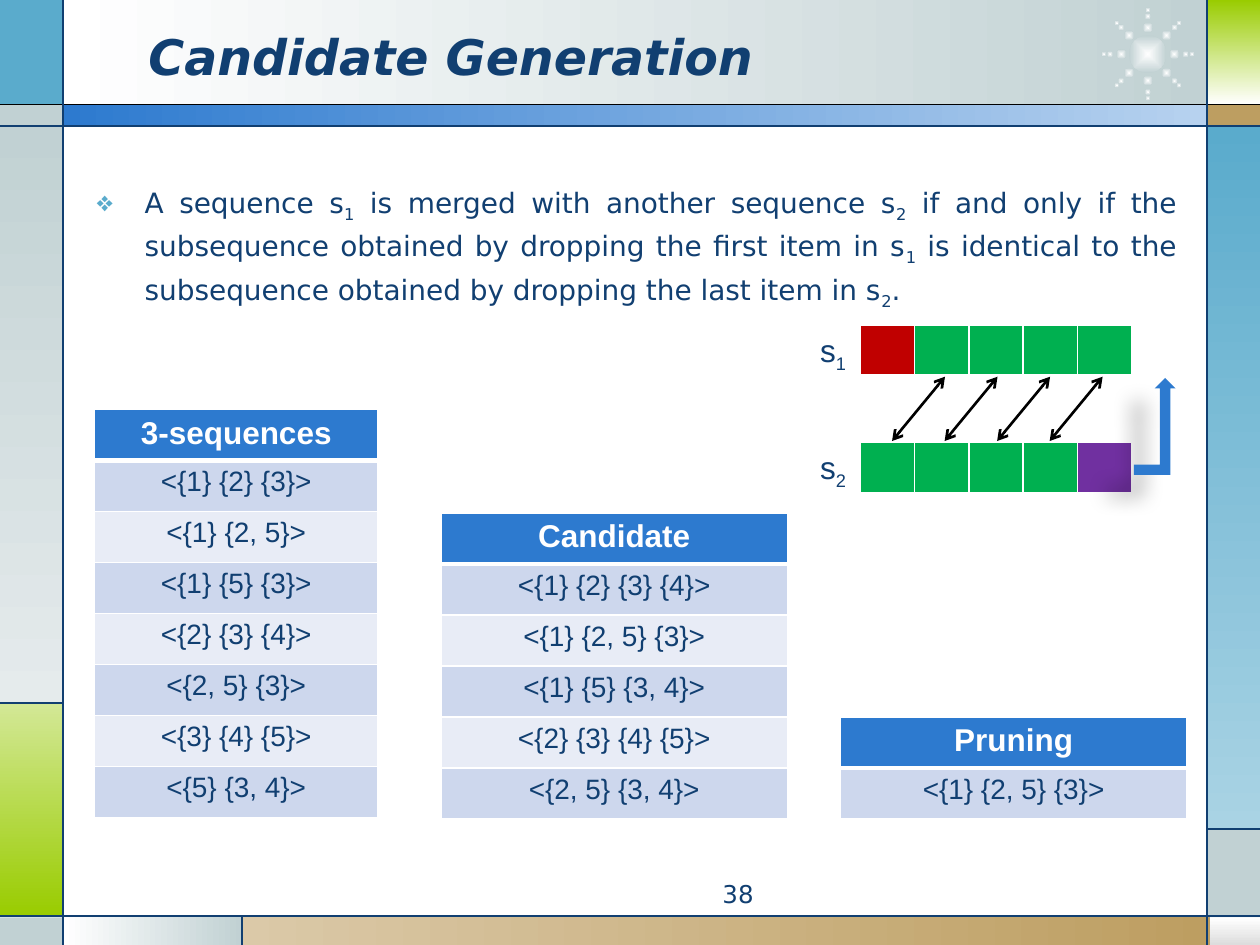
from dataclasses import dataclass
from math import cos, sin, radians
from lxml.etree import SubElement as Sub
from pptx import Presentation
from pptx.dml.color import RGBColor as RGB
from pptx.enum.shapes import MSO_CONNECTOR as Conn, MSO_SHAPE as Geo
from pptx.enum.text import MSO_ANCHOR as Anchor, PP_ALIGN as Align
from pptx.oxml import parse_xml
from pptx.oxml.ns import nsdecls, qn
from pptx.util import Inches, Pt


@dataclass(frozen=True)
class Theme:
    navy: str = "113F71"
    blue: str = "2D7ACF"
    sky: str = "5AABCC"
    gray: str = "C1D1D3"
    tan: str = "BD9E61"
    lime: str = "99CC00"
    white: str = "FFFFFF"
    black: str = "000000"
    bands: tuple = ("CDD7ED", "E8ECF6")
    red: str = "C00000"
    green: str = "00B050"
    plum: str = "7030A0"
    sans: str = "DejaVu Sans"
    arial: str = "Arial"
    title: int = 28
    head: int = 18
    body: int = 16
    small: int = 14


T = Theme()


def box(*nums):
    return [Inches(n) for n in nums]


def write(frame, text, size=T.body, font=T.sans, color=T.navy, bold=False,
          italic=False, align=Align.LEFT, space=None, bullet=None,
          anchor=None, wrap=True):
    """Write text; parts between underscores become subscripts."""
    frame.word_wrap = wrap
    if anchor is not None:
        frame.vertical_anchor = anchor
    para = frame.paragraphs[0]
    para.alignment = align
    if bullet:
        props = para._p.get_or_add_pPr()
        props.set("marL", str(Inches(0.38)))
        props.set("indent", str(-Inches(0.38)))
        tint = Sub(props, qn("a:buClr"))
        Sub(tint, qn("a:srgbClr"), val=T.sky)
        Sub(props, qn("a:buChar"), char=bullet)
    if space:
        para.line_spacing = space
    for i, part in enumerate(text.split("_")):
        if not part:
            continue
        run = para.add_run()
        run.text = part
        face = run.font
        face.size, face.name = Pt(size), font
        face.bold, face.italic = bold, italic
        face.color.rgb = RGB.from_string(color)
        if i % 2:
            run._r.get_or_add_rPr().set("baseline", "-25000")


def label(slide, place, text, **form):
    write(slide.shapes.add_textbox(*box(*place)).text_frame, text, **form)


def shape(slide, place, fill, geo=Geo.RECTANGLE, angle=None):
    """Fill is one colour or a pair; a pair without an angle is radial."""
    item = slide.shapes.add_shape(geo, *box(*place))
    item.shadow.inherit = False
    item.line.fill.background()
    if isinstance(fill, str):
        item.fill.solid()
        item.fill.fore_color.rgb = RGB.from_string(fill)
        return item
    item.fill.gradient()
    for stop, color, pos in zip(item.fill.gradient_stops, fill, (0, 1)):
        stop.color.rgb = RGB.from_string(color)
        stop.position = pos
    if angle is not None:
        item.fill.gradient_angle = (360 - angle) % 360
    else:
        lin = item._element.spPr.find(".//" + qn("a:lin"))
        lin.getparent().replace(lin, parse_xml(
            f'<a:path {nsdecls("a")} path="shape"><a:fillToRect '
            'l="50000" t="50000" r="50000" b="50000"/></a:path>'))
    return item


def line(slide, ends, color=T.navy, width=0.75, arrows=False):
    item = slide.shapes.add_connector(Conn.STRAIGHT, *box(*ends))
    item.line.color.rgb = RGB.from_string(color)
    item.line.width = Pt(width)
    if arrows:
        for tag in ("a:headEnd", "a:tailEnd"):
            Sub(item.line._get_or_add_ln(), qn(tag), type="arrow")
    Sub(item._element.spPr, qn("a:effectLst"))


def paint(cell, fill, base=1):
    """Fill a cell and give it white borders; base is the bottom width."""
    cell.fill.solid()
    cell.fill.fore_color.rgb = RGB.from_string(fill)
    props = cell._tc.get_or_add_tcPr()
    for i, side in enumerate("LRTB"):
        width = Pt(base if side == "B" else 1)
        props.insert(i, parse_xml(
            f'<a:ln{side} {nsdecls("a")} w="{width}"><a:solidFill>'
            f'<a:srgbClr val="{T.white}"/></a:solidFill></a:ln{side}>'))


def table(slide, left, top, width, rows):
    high = 0.405 * len(rows)
    grid = slide.shapes.add_table(
        len(rows), 1, *box(left, top, width, high)).table
    for i, text in enumerate(rows):
        cell = grid.cell(i, 0)
        if i == 0:
            paint(cell, T.blue, base=3)
            form = dict(size=T.head, color=T.white, bold=True)
        else:
            paint(cell, T.bands[(i - 1) % 2])
            form = {}
        write(cell.text_frame, text, font=T.arial, align=Align.CENTER, **form)


def strip(slide, top, colors, name):
    wide = 0.43 * len(colors)
    grid = slide.shapes.add_table(
        1, len(colors), *box(6.83, top, wide, 0.41)).table
    for i, color in enumerate(colors):
        paint(grid.cell(0, i), color, base=3)
    label(slide, (6.41, top, 0.42, 0.4), name, size=T.head, font=T.arial,
          wrap=False)


def sun(slide, x, y):
    def dot(cx, cy, size):
        shape(slide, (cx - size / 2, cy - size / 2, size, size),
              (T.white, T.gray), Geo.OVAL)

    dot(x, y, 0.3)
    for turn in range(0, 360, 45):
        for far, size in ((0.21, 0.08), (0.3, 0.05), (0.35, 0.04)):
            dot(x + far * cos(radians(turn)), y + far * sin(radians(turn)),
                size)


def frame(slide):
    # Tiles around the page
    for place, fill, angle in (
            ((0.5, 0, 9.09, 0.84), (T.white, T.gray), 0),
            ((0, 0, 0.5, 0.84), T.sky, None),
            ((0, 0.83, 0.5, 0.17), T.gray, None),
            ((0, 1, 0.5, 4.58), (T.gray, "E5EBEC"), 90),
            ((0, 5.58, 0.5, 1.69), ("D3E896", T.lime), 90),
            ((0, 7.28, 0.5, 0.22), T.gray, None),
            ((0.5, 7.27, 1.42, 0.23), (T.white, T.gray), 0),
            ((1.92, 7.27, 7.68, 0.23), ("DBC9A8", T.tan), 0),
            ((9.6, 7.28, 0.4, 0.22), (T.white, "DDDDDD"), 90),
            ((9.58, 6.58, 0.42, 0.7), T.gray, None),
            ((9.58, 1, 0.42, 5.58), (T.sky, "A9D3E4"), 90),
            ((9.58, 0.83, 0.42, 0.17), T.tan, None),
            ((9.58, 0, 0.42, 0.83), (T.lime, T.white), 90),
            ((0.5, 0.83, 9.08, 0.17), (T.blue, "B7D2EF"), 0)):
        shape(slide, place, fill, angle=angle)
    sun(slide, 9.11, 0.43)
    # Rules between the tiles
    line(slide, (0, 0.83, 10, 0.83), T.black)
    for ends in ((0, 1, 10, 1), (0, 7.27, 10, 7.27), (0.5, 0, 0.5, 7.5),
                 (9.58, 0, 9.58, 7.5), (0, 5.58, 0.5, 5.58),
                 (1.92, 7.27, 1.92, 7.5), (9.58, 6.58, 10, 6.58)):
        line(slide, ends)


def merge(slide):
    # Two sequences and the links between their items
    strip(slide, 2.58, [T.red] + [T.green] * 4, "s_1_")
    strip(slide, 3.51, [T.green] * 4 + [T.plum], "s_2_")
    bent = shape(slide, (9, 3, 0.33, 0.77), T.blue, Geo.BENT_UP_ARROW)
    glow = bent._element.spPr.find(qn("a:effectLst"))
    cast = Sub(glow, qn("a:outerShdw"), blurRad=str(Pt(11.8)),
               dist=str(Pt(19.7)), dir=str(141 * 60000), rotWithShape="0")
    tint = Sub(cast, qn("a:srgbClr"), val=T.black)
    Sub(tint, qn("a:alpha"), val="28000")
    for i in range(4):
        x = 7.08 + 0.417 * i
        line(slide, (x, 3.5, x + 0.42, 2.99), T.black, 1.5, arrows=True)


def main():
    deck = Presentation()
    deck.slide_width, deck.slide_height = box(10, 7.5)
    slide = deck.slides.add_slide(deck.slide_layouts[6])
    frame(slide)

    # Title, rule and page number
    label(slide, (1.08, 0.13, 7.33, 0.62), "Candidate Generation",
          size=T.title, bold=True, italic=True, anchor=Anchor.MIDDLE)
    label(slide, (0.67, 1.38, 8.77, 1.16),
          "A sequence s_1_ is merged with another sequence s_2_ if and only "
          "if the subsequence obtained by dropping the first item in s_1_ is "
          "identical to the subsequence obtained by dropping the last item "
          "in s_2_.", align=Align.JUSTIFY, space=1.14, bullet="❖")
    label(slide, (3.75, 6.93, 2.33, 0.27), "38", size=T.small,
          align=Align.RIGHT)

    # Steps from sequences to pruning
    table(slide, 0.75, 3.25, 2.25, (
        "3-sequences", "<{1} {2} {3}>", "<{1} {2, 5}>", "<{1} {5} {3}>",
        "<{2} {3} {4}>", "<{2, 5} {3}>", "<{3} {4} {5}>", "<{5} {3, 4}>"))
    table(slide, 3.5, 4.07, 2.75, (
        "Candidate", "<{1} {2} {3} {4}>", "<{1} {2, 5} {3}>",
        "<{1} {5} {3, 4}>", "<{2} {3} {4} {5}>", "<{2, 5} {3, 4}>"))
    table(slide, 6.67, 5.69, 2.75, ("Pruning", "<{1} {2, 5} {3}>"))
    merge(slide)
    deck.save("out.pptx")


if __name__ == "__main__":
    main()
